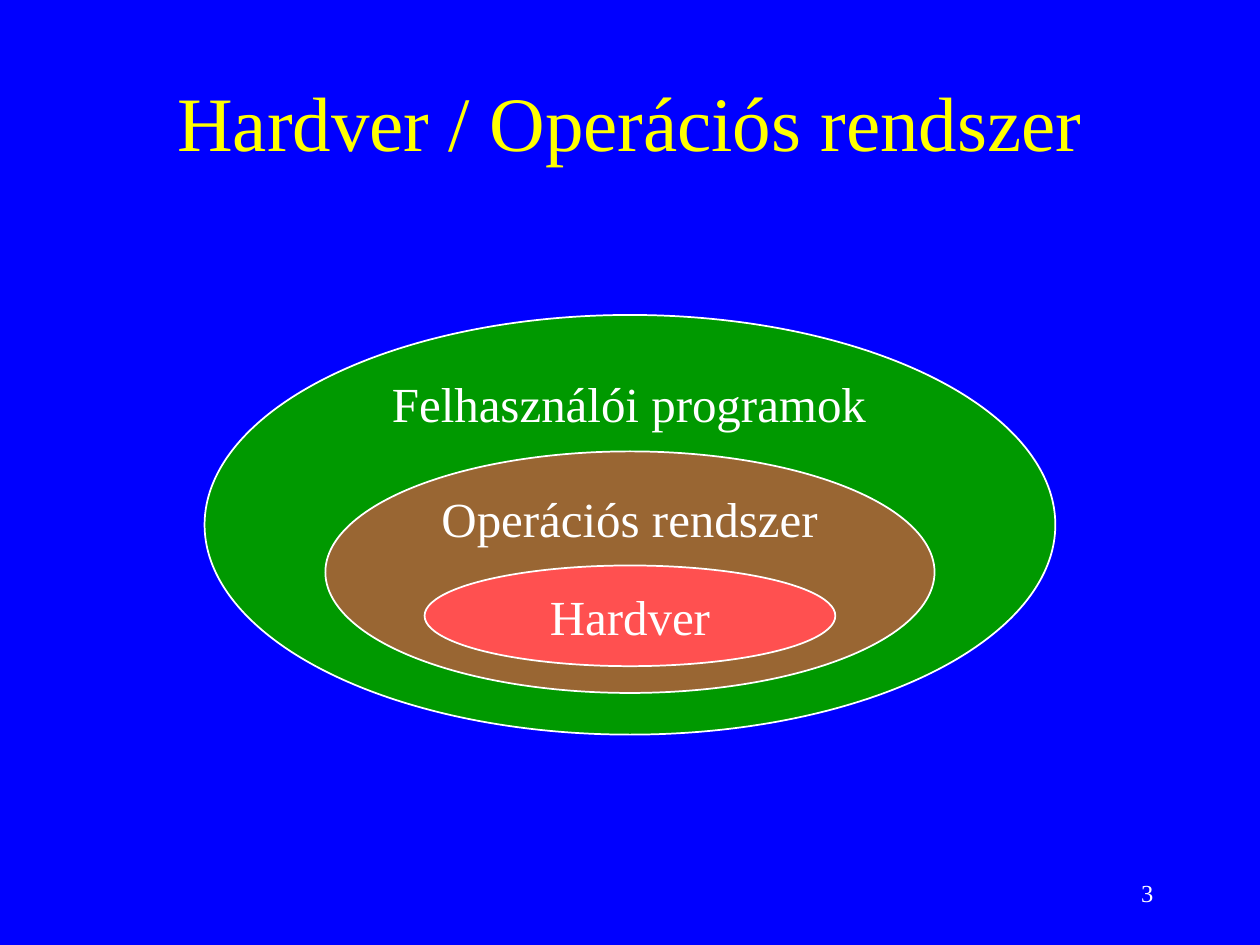
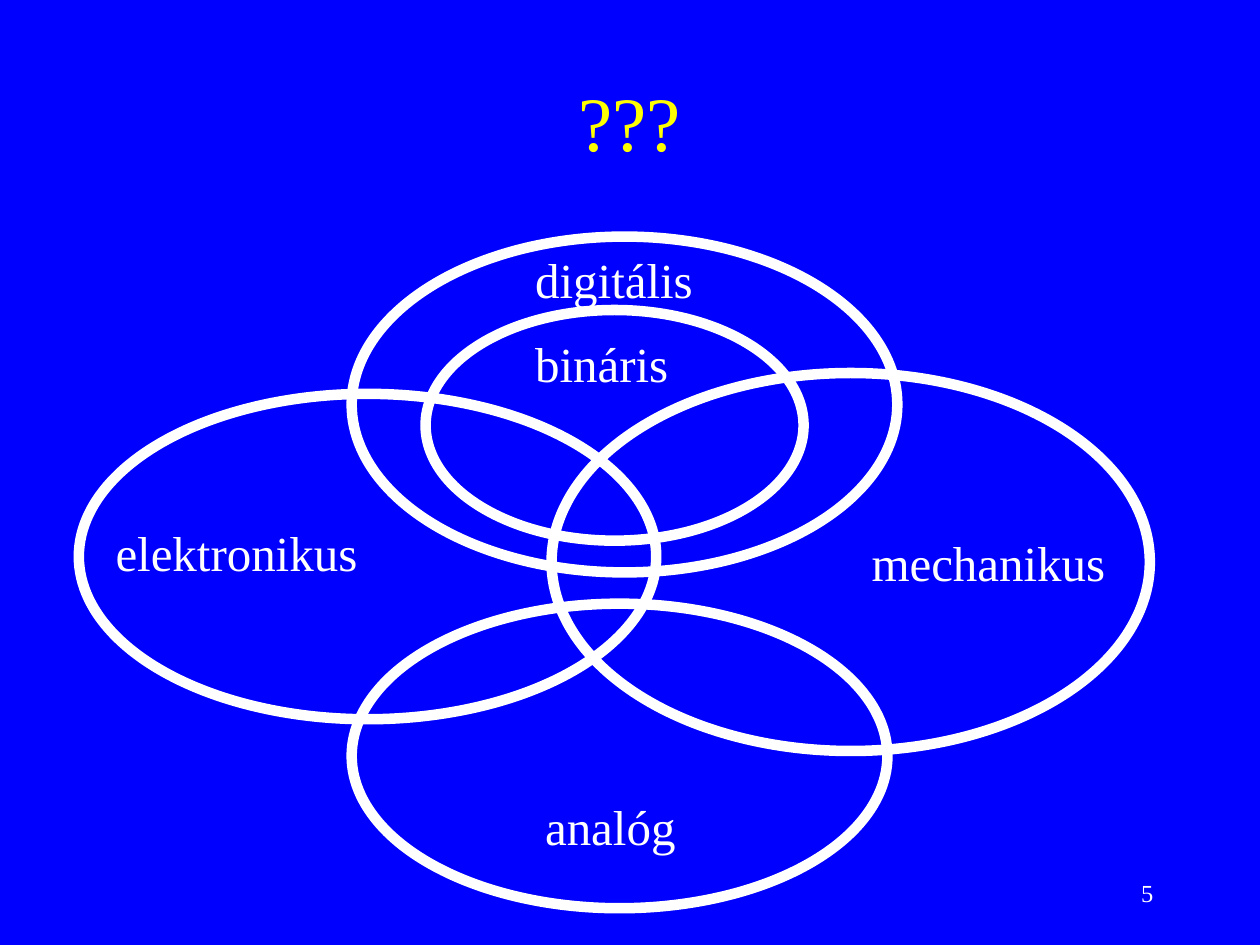
from dataclasses import dataclass

from pptx import Presentation
from pptx.dml.color import RGBColor
from pptx.enum.shapes import MSO_SHAPE as Preset
from pptx.enum.text import MSO_ANCHOR as Anchor, PP_ALIGN as Align
from pptx.slide import Slide
from pptx.text.text import TextFrame
from pptx.util import Cm, Pt

BLUE, WHITE, YELLOW = "0000FF", "FFFFFF", "FFFF00"
GREEN, BROWN, RED = "009900", "996633", "FF5050"
FONT = "Times New Roman"
SLIDE_WIDTH, SLIDE_HEIGHT = 25.4, 19.05
CENTER = SLIDE_WIDTH / 2
LABEL_HEIGHT = 1.45


@dataclass(frozen=True)
class Box:
    """A rectangle in centimetres."""

    left: float
    top: float
    width: float
    height: float = LABEL_HEIGHT

    def lengths(self) -> tuple[Cm, Cm, Cm, Cm]:
        """Return left, top, width and height as lengths."""
        return Cm(self.left), Cm(self.top), Cm(self.width), Cm(self.height)


@dataclass(frozen=True)
class Ellipse:
    """An outlined ellipse, hollow unless it has a fill."""

    box: Box
    fill: str | None = None
    line_width: float = 6
    text: str = ""


@dataclass(frozen=True)
class Label:
    """A caption on one line."""

    text: str
    box: Box


@dataclass(frozen=True)
class Diagram:
    """The content of one slide."""

    title: str
    number: int
    ellipses: list[Ellipse]
    labels: list[Label]


TITLE_BOX = Box(1.9, 0.85, 21.6, 3.18)
NUMBER_BOX = Box(18.2, 17.36, 5.3, 1.27)


def centered(top: float, width: float, height: float = LABEL_HEIGHT) -> Box:
    """Return a box in the middle of the slide's width."""
    return Box(CENTER - width / 2, top, width, height)


DIAGRAMS = [
    Diagram(
        "Hardver / Operációs rendszer",
        3,
        [
            Ellipse(centered(6.35, 17.15, 8.46), GREEN, 1),
            Ellipse(centered(9.1, 12.28, 4.87), BROWN, 1),
            Ellipse(centered(11.4, 8.28, 2.03), RED, 1, "Hardver"),
        ],
        [
            Label("Operációs rendszer", centered(9.73, 8.1)),
            Label("Felhasználói programok", centered(7.4, 10.1)),
        ],
    ),
    Diagram(
        "???",
        5,
        [
            Ellipse(Box(8.58, 6.25, 7.62, 4.65)),
            Ellipse(Box(7.09, 4.77, 11, 6.77)),
            Ellipse(Box(1.59, 7.94, 11.64, 6.56)),
            Ellipse(Box(11.12, 7.52, 12.06, 7.62)),
            Ellipse(Box(7.09, 12.17, 10.8, 6.14)),
        ],
        [
            Label("digitális", Box(10.54, 4.9, 3.68)),
            Label("bináris", Box(10.54, 6.6, 3.2)),
            Label("elektronikus", Box(2.08, 10.41, 5.38)),
            Label("mechanikus", Box(17.32, 10.62, 5.23)),
            Label("analóg", Box(10.74, 15.93, 3.15)),
        ],
    ),
]


def color(value: str) -> RGBColor:
    """Turn a hex string into a colour."""
    return RGBColor.from_string(value)


def write(
    frame: TextFrame,
    text: str,
    *,
    size: float = 28,
    font_color: str = WHITE,
    align: Align = Align.LEFT,
    anchor: Anchor = Anchor.MIDDLE,
    wrap: bool = True,
) -> None:
    """Put formatted text into a frame."""
    frame.word_wrap = wrap
    frame.vertical_anchor = anchor
    paragraph = frame.paragraphs[0]
    paragraph.alignment = align
    run = paragraph.add_run()
    run.text = text
    run.font.name = FONT
    run.font.size = Pt(size)
    run.font.color.rgb = color(font_color)


def add_text(slide: Slide, text: str, box: Box, **style) -> None:
    """Add a text box."""
    write(slide.shapes.add_textbox(*box.lengths()).text_frame, text, **style)


def add_ellipse(slide: Slide, ellipse: Ellipse) -> None:
    """Add an ellipse with its text, if any."""
    shape = slide.shapes.add_shape(Preset.OVAL, *ellipse.box.lengths())
    shape.shadow.inherit = False
    if ellipse.fill:
        shape.fill.solid()
        shape.fill.fore_color.rgb = color(ellipse.fill)
    else:
        shape.fill.background()
    shape.line.color.rgb = color(WHITE)
    shape.line.width = Pt(ellipse.line_width)
    if ellipse.text:
        write(shape.text_frame, ellipse.text, align=Align.CENTER)


def add_diagram(slide: Slide, diagram: Diagram) -> None:
    """Draw the background, title, diagram and number of a slide."""
    background = slide.background.fill
    background.solid()
    background.fore_color.rgb = color(BLUE)
    add_text(slide, diagram.title, TITLE_BOX, size=44, font_color=YELLOW, align=Align.CENTER)
    for ellipse in diagram.ellipses:
        add_ellipse(slide, ellipse)
    for label in diagram.labels:
        add_text(slide, label.text, label.box, anchor=Anchor.TOP, wrap=False)
    add_text(slide, str(diagram.number), NUMBER_BOX, size=14, align=Align.RIGHT)


def main() -> None:
    """Build and save the presentation."""
    presentation = Presentation()
    presentation.slide_width = Cm(SLIDE_WIDTH)
    presentation.slide_height = Cm(SLIDE_HEIGHT)
    blank = presentation.slide_layouts[6]
    for diagram in DIAGRAMS:
        add_diagram(presentation.slides.add_slide(blank), diagram)
    presentation.save("out.pptx")


if __name__ == "__main__":
    main()
